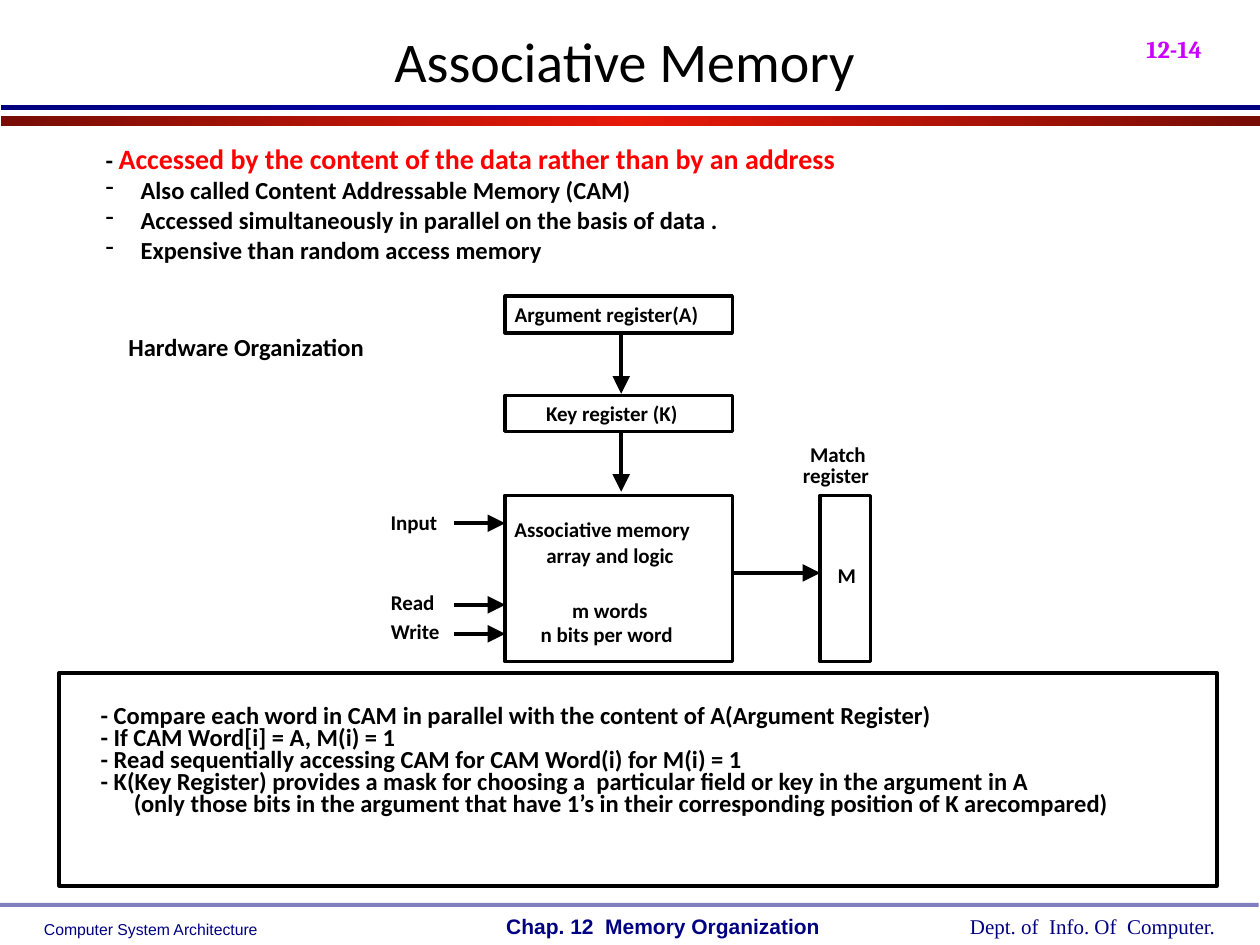
from copy import deepcopy

from lxml import etree
from pptx import Presentation
from pptx.dml.color import RGBColor
from pptx.enum.shapes import MSO_CONNECTOR, MSO_SHAPE
from pptx.enum.text import MSO_AUTO_SIZE, PP_ALIGN
from pptx.oxml.ns import qn
from pptx.util import Pt

RECTANGLE = MSO_SHAPE.RECTANGLE
STRAIGHT = MSO_CONNECTOR.STRAIGHT
FIT_SHAPE = MSO_AUTO_SIZE.SHAPE_TO_FIT_TEXT
LEFT, CENTER = PP_ALIGN.LEFT, PP_ALIGN.CENTER

BLACK, RED, NAVY, MAGENTA = "000000", "FF0000", "000082", "CC00FF"


def rgb(color):
    return RGBColor.from_string(color)


def add_child(parent, tag, **attributes):
    return etree.SubElement(parent, qn(tag), attributes)


def add_run(paragraph, text, *, size=12, font="Calibri", color=BLACK, bold=True, baseline=0):
    run = paragraph.add_run()
    run.text = text
    run.font.size = Pt(size)
    run.font.name = font
    run.font.bold = bold
    run.font.color.rgb = rgb(color)
    if baseline:
        run.font._element.set("baseline", str(baseline * 1000))


def indent(paragraph, margin, bullet=None):
    """Indent a paragraph, hanging it when it has a bullet."""
    properties = paragraph._p.get_or_add_pPr()
    properties.set("marL", str(Pt(margin)))
    if bullet:
        properties.set("indent", str(-Pt(margin)))
        color = add_child(properties, "a:buClr")
        add_child(color, "a:srgbClr", val=BLACK)
        add_child(properties, "a:buChar", char=bullet)


class SlideBuilder:
    """Draws the elements of one slide in a common style."""

    line_width = 2

    def __init__(self, slide):
        self.slide = slide

    def rectangle(self, left, top, width, height):
        shape = self.slide.shapes.add_shape(RECTANGLE, Pt(left), Pt(top), Pt(width), Pt(height))
        shape.shadow.inherit = False
        return shape

    def frame(self, left, top, width, height):
        shape = self.rectangle(left, top, width, height)
        shape.fill.background()
        shape.line.color.rgb = rgb(BLACK)
        shape.line.width = Pt(self.line_width)

    def gradient_bar(self, left, top, width, height, edge, middle):
        shape = self.rectangle(left, top, width, height)
        shape.line.fill.background()
        shape.fill.gradient()
        shape.fill.gradient_angle = 0
        first = next(shape._element.spPr.iter(qn("a:gs")))
        first.addnext(deepcopy(first))
        stops = zip(shape.fill.gradient_stops, (edge, middle, edge), (0, 0.5, 1))
        for stop, color, position in stops:
            stop.color.rgb = rgb(color)
            stop.position = position

    def translucent_bar(self, left, top, width, height, color, opacity):
        shape = self.rectangle(left, top, width, height)
        shape.line.fill.background()
        shape.fill.solid()
        shape.fill.fore_color.rgb = rgb(color)
        fill_color = next(shape._element.spPr.iter(qn("a:srgbClr")))
        add_child(fill_color, "a:alpha", val=str(opacity * 1000))

    def arrow(self, x1, y1, x2, y2):
        connector = self.slide.shapes.add_connector(STRAIGHT, Pt(x1), Pt(y1), Pt(x2), Pt(y2))
        connector.line.color.rgb = rgb(BLACK)
        connector.line.width = Pt(self.line_width)
        add_child(connector.line._get_or_add_ln(), "a:tailEnd", type="triangle", w="lg", len="lg")
        add_child(connector._element.spPr, "a:effectLst")

    def text_box(self, left, top, width, height, *, wrap=True, insets=(7.2, 3.6)):
        box = self.slide.shapes.add_textbox(Pt(left), Pt(top), Pt(width), Pt(height))
        frame = box.text_frame
        frame.word_wrap = wrap
        frame.auto_size = FIT_SHAPE
        frame.margin_left = frame.margin_right = Pt(insets[0])
        frame.margin_top = frame.margin_bottom = Pt(insets[1])
        return frame

    def text(self, left, top, width, height, text, *, wrap=True, align=CENTER,
             spacing=1.0, before=0, **style):
        frame = self.text_box(left, top, width, height, wrap=wrap)
        paragraph = frame.paragraphs[0]
        paragraph.alignment = align
        paragraph.line_spacing = spacing
        paragraph.space_before = Pt(before)
        add_run(paragraph, text, **style)

    def paragraphs(self, frame, count, spacing):
        """Return count paragraphs of the frame with equal line spacing."""
        items = [frame.paragraphs[0]] + [frame.add_paragraph() for _ in range(count - 1)]
        for paragraph in items:
            paragraph.line_spacing = spacing
        return items


def draw_layout(builder):
    builder.gradient_bar(0.72, 66.4, 719.28, 5.6, "770D05", "E71909")
    builder.gradient_bar(0.72, 60, 719.28, 2.9, "00007F", "0000B6")
    footer = {"wrap": False, "align": LEFT, "color": NAVY}
    builder.text(18, 522, 137, 18, "Computer System Architecture",
                 size=9, font="Arial", bold=False, **footer)
    builder.text(547.2, 518.4, 155.5, 21.6, "Dept. of  Info. Of  Computer.",
                 font="Times New Roman", bold=False, **footer)
    builder.text(282.2, 518.4, 193.7, 21.6, "Chap. 12  Memory Organization",
                 font="Arial", **footer)
    builder.translucent_bar(0, 516, 719.28, 2.2, NAVY, 50)
    builder.text(648, 0, 77.8, 40.3, "12-14", align=LEFT, before=15,
                 size=24, font="Cambria", color=MAGENTA, baseline=-25)
    builder.text(54, 11.5, 606, 46, "Associative Memory", size=32, bold=False)


def draw_diagram(builder):
    labels = [
        ("Argument register(A)", 286.6, 170.6, 120),
        ("Key register (K)", 304.6, 226.8, 90),
        ("Associative memory", 286.6, 293, 115),
        ("array and logic", 304.6, 308.2, 88),
        ("m words", 319.7, 339.8, 57.6),
        ("n bits per word", 301.7, 353.5, 90),
        ("Match", 455.8, 250.6, 46),
        ("register", 451.4, 262.1, 52.6),
        ("Input", 216, 289.4, 41),
        ("Read", 216, 334.8, 39.6),
        ("Write", 216, 351.4, 42.5),
        ("M", 471.6, 319.7, 24.5),
    ]
    for label, left, top, width in labels:
        builder.text(left, top, width, 20.2, label, wrap=False, spacing=0.9)

    box_left, box_right, match_left = 288.7, 418.5, 468.7
    box_width = box_right - box_left
    for top, height in ((169.2, 21), (226, 20.5), (283, 95)):
        builder.frame(box_left, top, box_width, height)
    builder.frame(match_left, 283, 28.8, 95)

    for start, end in ((190.2, 225), (246.5, 281)):
        builder.arrow(355, start, 355, end)
    for y in (299, 345.6, 362.2):
        builder.arrow(259.2, y, box_left, y)
    builder.arrow(box_right, 327.4, match_left, 327.4)


def draw_features(builder):
    features = [
        "Also called Content Addressable Memory (CAM)",
        "Accessed simultaneously in parallel on the basis of data .",
        "Expensive than random access memory",
    ]
    frame = builder.text_box(55.4, 78.5, 564.5, 74, insets=(5, 2.2))
    first, *others = builder.paragraphs(frame, len(features) + 1, 1.01)
    add_run(first, "- ", size=14)
    add_run(first, "Accessed by the content of the data rather than by an address",
            size=16, color=RED)
    for paragraph, feature in zip(others, features):
        indent(paragraph, 20, bullet="-")
        add_run(paragraph, feature, size=14)
    builder.text(33.8, 185.8, 213.8, 21, "Hardware Organization", size=14, spacing=1.02)


def draw_operation(builder):
    lines = [
        "- Compare each word in CAM in parallel with the content of A(Argument Register)",
        "- If CAM Word[i] = A, M(i) = 1",
        "- Read sequentially accessing CAM for CAM Word(i) for M(i) = 1",
        "- K(Key Register) provides a mask for choosing a  particular field or key in the argument in A",
        "(only those bits in the argument that have 1’s in their corresponding position of K arecompared)",
    ]
    frame = builder.text_box(50.4, 400.3, 619.2, 69.8)
    paragraphs = builder.paragraphs(frame, len(lines), 0.75)
    for paragraph, line in zip(paragraphs, lines):
        add_run(paragraph, line, size=14)
    indent(paragraphs[-1], 19)
    builder.frame(33.8, 384.5, 661.7, 121.7)


def main():
    presentation = Presentation()
    presentation.slide_width, presentation.slide_height = Pt(720), Pt(540)
    builder = SlideBuilder(presentation.slides.add_slide(presentation.slide_layouts[6]))
    draw_layout(builder)
    draw_diagram(builder)
    draw_features(builder)
    draw_operation(builder)
    presentation.save("out.pptx")


if __name__ == "__main__":
    main()
